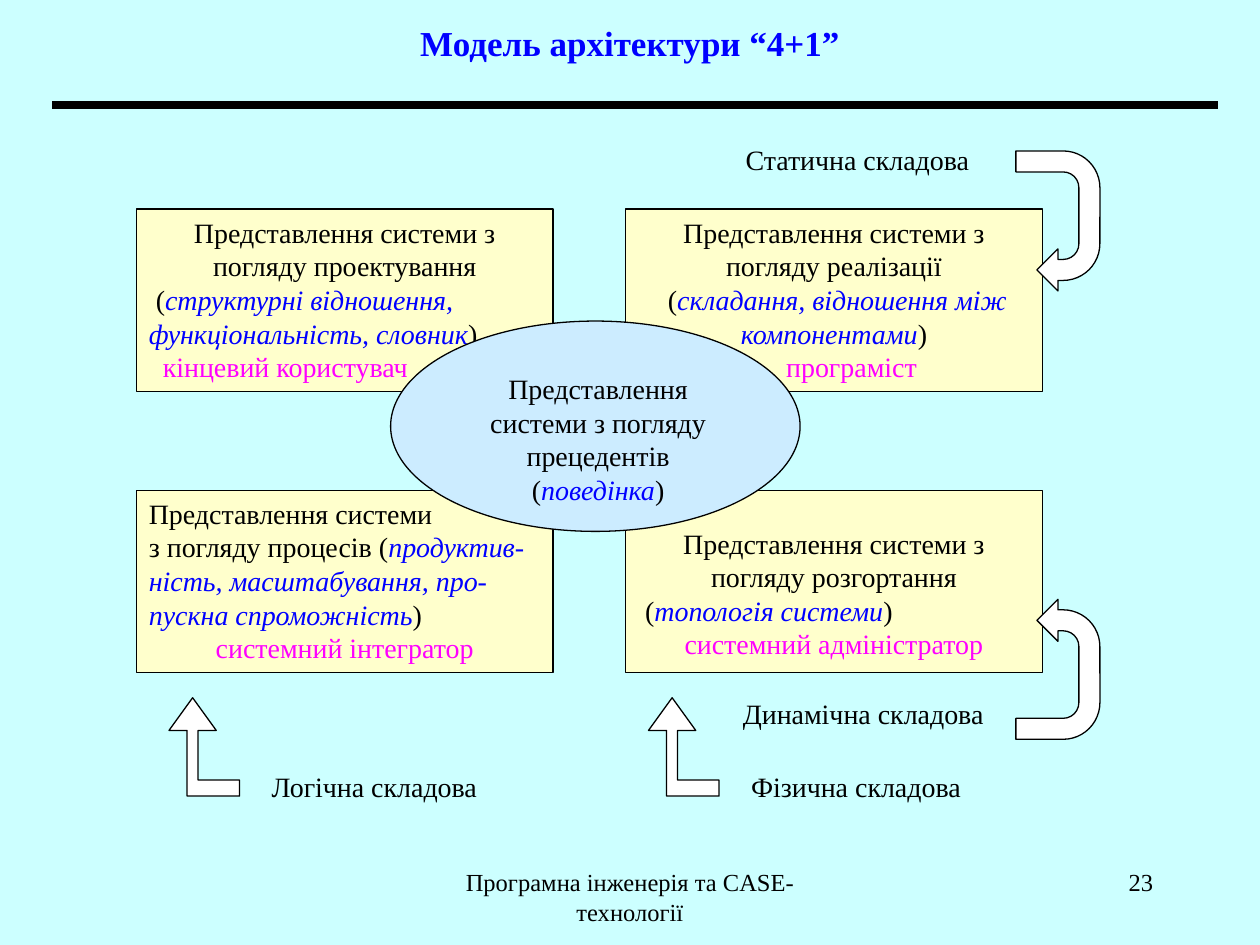
from lxml.etree import SubElement
from pptx import Presentation
from pptx.dml.color import RGBColor
from pptx.enum.shapes import MSO_CONNECTOR, MSO_SHAPE
from pptx.enum.text import MSO_ANCHOR, PP_ALIGN
from pptx.oxml.ns import qn
from pptx.util import Pt

HUES = {
    "paper": "CCFFFF", "card": "FFFFCC", "oval": "CCECFF", "white": "FFFFFF",
    "ink": "000000", "blue": "0000FF", "pink": "FF00FF",
}
FONT = "Times New Roman"
LEFT, MID, RIGHT, FULL = PP_ALIGN.LEFT, PP_ALIGN.CENTER, PP_ALIGN.RIGHT, PP_ALIGN.JUSTIFY

CARDS = [
    (0, 0, 3.6, [
        (MID, 0, 0, [("Представлення системи з погляду проектування", "ink")]),
        (LEFT, 0, 4, [("(", "ink"), ("структурні відношення, функціональність, словник", "blue"),
                      (")", "ink")]),
        (LEFT, 8, 0, [("кінцевий користувач", "pink")]),
    ]),
    (1, 0, 3.6, [
        (MID, 0, 0, [("Представлення системи з погляду реалізації", "ink")]),
        (MID, 0, 4, [("(", "ink"), ("складання, відношення між компонентами", "blue"),
                     (")", "ink")]),
        (MID, 20, 0, [("програміст", "pink")]),
    ]),
    (0, 1, 3.6, [
        (LEFT, 0, 0, [("Представлення системи", "ink")]),
        (LEFT, 0, 0, [("з погляду процесів (", "ink"),
                      ("продуктив-ність, масштабування, про-пускна спроможність", "blue"),
                      (")", "ink")]),
        (MID, 0, 0, [("системний інтегратор", "pink")]),
    ]),
    (1, 1, 20.6, [
        (MID, 0, 0, [("Представлення системи з погляду розгортання", "ink")]),
        (FULL, 0, 4, [("(", "ink"), ("топологія системи", "blue"), (")", "ink")]),
        (MID, 0, 0, [("системний адміністратор", "pink")]),
    ]),
]
CORE = [
    (MID, 0, 0, [("Представлення системи з погляду прецедентів", "ink")]),
    (MID, 0, 0, [("(", "ink"), ("поведінка", "blue"), (")", "ink")]),
]


def color(name):
    return RGBColor.from_string(HUES[name])


def paint(shape, fill, line=None):
    shape.shadow.inherit = False
    shape.fill.solid()
    shape.fill.fore_color.rgb = color(fill)
    if line:
        shape.line.color.rgb = color(line)
        shape.line.width = Pt(0.75)
    else:
        shape.line.fill.background()


def write(frame, paras, size=16, bold=False, anchor=MSO_ANCHOR.TOP, top=3.6):
    frame.word_wrap = True
    frame.vertical_anchor = anchor
    frame.margin_left = frame.margin_right = Pt(7.2)
    frame.margin_top, frame.margin_bottom = Pt(top), Pt(3.6)
    for i, (align, left, first, runs) in enumerate(paras):
        para = frame.add_paragraph() if i else frame.paragraphs[0]
        para.alignment = align
        props = para._p.get_or_add_pPr()
        props.set("marL", str(Pt(left)))
        props.set("indent", str(Pt(first)))
        for text, hue in runs:
            run = para.add_run()
            run.text = text
            run.font.name = FONT
            run.font.size = Pt(size)
            run.font.bold = bold
            run.font.italic = hue == "blue" and not bold
            run.font.color.rgb = color(hue)


def add_form(slide, kind, box, fill, line=None):
    form = slide.shapes.add_shape(kind, *map(Pt, box))
    paint(form, fill, line)
    return form


def add_head(slide, box):
    x, y, w, h = box
    title = slide.shapes.title
    title.left, title.top, title.width, title.height = map(Pt, box)
    write(title.text_frame, [(MID, 0, 0, [("Модель архітектури “4+1”", "blue")])],
          20, True, MSO_ANCHOR.MIDDLE)
    rule = slide.shapes.add_connector(
        MSO_CONNECTOR.STRAIGHT, Pt(x - 24), Pt(y + 60), Pt(x + w + 30), Pt(y + 60))
    rule.line.color.rgb = color("ink")
    rule.line.width = Pt(4.5)
    SubElement(rule._element.spPr, qn("a:effectLst"))


def add_views(slide, box):
    x, y, w, h = box
    wide, high = 238, 104.4
    for col, row, top, paras in CARDS:
        spot = (x + col * (w - wide), y + row * (h - high), wide, high)
        card = add_form(slide, MSO_SHAPE.RECTANGLE, spot, "card", "ink")
        write(card.text_frame, paras, top=top)
    add_form(slide, MSO_SHAPE.OVAL, (x + 145.2, y + 64, 234, 120.2), "oval", "ink")
    core = add_form(slide, MSO_SHAPE.RECTANGLE, (x + 177.8, y + 89.3, 172, 69), "oval")
    write(core.text_frame, CORE)


def add_label(slide, box, text):
    label = add_form(slide, MSO_SHAPE.RECTANGLE, box, "paper")
    write(label.text_frame, [(LEFT, 0, 0, [(text, "ink")])])


def add_turn(slide, box, text, shift, drop, up):
    x, y, w, h = box
    add_label(slide, (x + shift, y + drop, 156, 32), text)
    turn = add_form(slide, MSO_SHAPE.U_TURN_ARROW, (x + w - 80, y + h - 48, 80, 48),
                    "white", "ink")
    turn.rotation = 270 if up else 90
    if up:
        turn._element.spPr.xfrm.set("flipV", "1")


def add_bend(slide, box, text):
    x, y, w, h = box
    add_label(slide, (x + 51.5, y + 37.5, w - 51.5, 32), text)
    dots = [(40.3, 47), (16.6, 47), (16.6, 18.7), (27, 18.7), (13.5, 0),
            (0, 18.7), (10.3, 18.7), (10.3, 56.2), (40.3, 56.2)]
    pts = [(Pt(x + a), Pt(y + b)) for a, b in dots]
    path = slide.shapes.build_freeform(*pts[0], scale=1.0)
    path.add_line_segments(pts[1:], close=True)
    paint(path.convert_to_shape(), "white", "ink")


def add_foot(slide, box):
    x, y, w, h = box
    parts = [(x, 228, MID, "Програмна інженерія та CASE-технології"),
             (x + w - 150, 150, RIGHT, "23")]
    for left, wide, align, text in parts:
        note = slide.shapes.add_textbox(Pt(left), Pt(y), Pt(wide), Pt(h))
        write(note.text_frame, [(align, 0, 0, [(text, "ink")])], 14)


def main():
    deck = Presentation()
    deck.slide_width, deck.slide_height = Pt(720), Pt(540)
    slide = deck.slides.add_slide(deck.slide_layouts[5])
    slide.background.fill.solid()
    slide.background.fill.fore_color.rgb = color("paper")
    add_head(slide, (54, 0, 612, 48))
    add_views(slide, (78, 119.5, 517.6, 265))
    add_turn(slide, (419, 78, 225.5, 72.3), "Статична складова", 0, 0, False)
    add_turn(slide, (419, 358.5, 225.5, 48), "Динамічна складова", -1.6, 36, True)
    for left, text in ((96.6, "Логічна складова"), (370.6, "Фізична складова")):
        add_bend(slide, (left, 398.7, 208, 70), text)
    add_foot(slide, (246, 492, 420, 36))
    deck.save("out.pptx")


if __name__ == "__main__":
    main()
